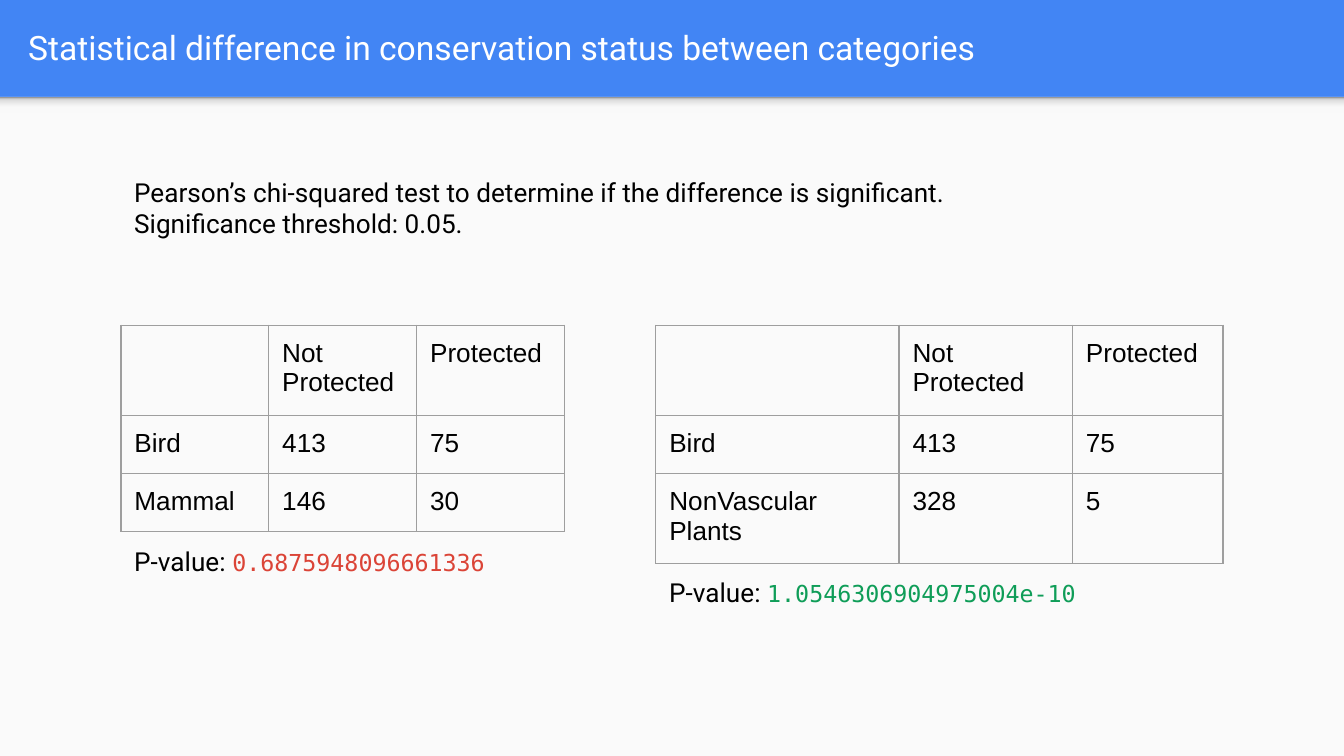
from lxml import etree
from pptx import Presentation
from pptx.dml.color import RGBColor
from pptx.enum.shapes import MSO_SHAPE
from pptx.enum.text import MSO_ANCHOR, MSO_AUTO_SIZE, PP_ALIGN
from pptx.oxml.ns import qn
from pptx.util import Inches, Pt

BLUE = RGBColor(0x42, 0x85, 0xF4)
PAPER = RGBColor(0xFA, 0xFA, 0xFA)
WHITE = RGBColor(0xFF, 0xFF, 0xFF)
BLACK = RGBColor(0x00, 0x00, 0x00)
GRID = RGBColor(0x9E, 0x9E, 0x9E)
RED = RGBColor(0xDB, 0x44, 0x37)
GREEN = RGBColor(0x0F, 0x9D, 0x58)
SHADOW_STOPS = [
    (0, RGBColor(0xF9, 0xF9, 0xF9)),
    (36, RGBColor(0xF9, 0xF9, 0xF9)),
    (80, RGBColor(0xDE, 0xDE, 0xDE)),
    (100, RGBColor(0x99, 0x99, 0x99)),
]


def add_text(paragraph, text, font="Roboto", size=14, color=BLACK):
    paragraph.alignment = PP_ALIGN.LEFT
    run = paragraph.add_run()
    run.text = text
    run.font.name = font
    run.font.size = Pt(size)
    run.font.color.rgb = color


def add_color(parent, color):
    etree.SubElement(parent, qn("a:srgbClr"), val=str(color))


class SlideBuilder:
    inset = Inches(0.1)

    def __init__(self, slide):
        self.slide = slide

    def set_insets(self, target):
        target.margin_left = target.margin_right = self.inset
        target.margin_top = target.margin_bottom = self.inset

    def band(self, left, top, width, height):
        band = self.slide.shapes.add_shape(
            MSO_SHAPE.RECTANGLE, Inches(left), Inches(top), Inches(width), Inches(height))
        band.shadow.inherit = False
        band.line.fill.background()
        return band

    def panel(self, *box, color):
        fill = self.band(*box).fill
        fill.solid()
        fill.fore_color.rgb = color

    def gradient_band(self, *box, stops):
        band = self.band(*box)
        band.fill.gradient()
        band.fill.gradient_angle = 90
        stop_list = band._element.spPr.find(".//" + qn("a:gsLst"))
        for old_stop in list(stop_list):
            stop_list.remove(old_stop)
        for percent, color in stops:
            add_color(etree.SubElement(stop_list, qn("a:gs"), pos=str(percent * 1000)), color)

    def title(self, text, left, top, width, height):
        title = self.slide.shapes.title
        title.left, title.top = Inches(left), Inches(top)
        title.width, title.height = Inches(width), Inches(height)
        frame = title.text_frame
        frame.auto_size = MSO_AUTO_SIZE.NONE
        frame.vertical_anchor = MSO_ANCHOR.MIDDLE
        self.set_insets(frame)
        add_text(frame.paragraphs[0], text, size=18, color=WHITE)

    def text_box(self, left, top, width, height, paragraphs):
        """Each paragraph is a list of (text, format) runs."""
        frame = self.slide.shapes.add_textbox(
            Inches(left), Inches(top), Inches(width), Inches(height)).text_frame
        frame.word_wrap = True
        frame.auto_size = MSO_AUTO_SIZE.SHAPE_TO_FIT_TEXT
        self.set_insets(frame)
        for index, runs in enumerate(paragraphs):
            paragraph = frame.add_paragraph() if index else frame.paragraphs[0]
            for text, style in runs:
                add_text(paragraph, text, **style)

    def cell_borders(self, cell):
        properties = cell._tc.get_or_add_tcPr()
        for index, side in enumerate(("a:lnL", "a:lnR", "a:lnT", "a:lnB")):
            border = etree.Element(qn(side), w=str(Pt(0.75)))
            add_color(etree.SubElement(border, qn("a:solidFill")), GRID)
            properties.insert(index, border)

    def table(self, left, top, widths, heights, rows):
        table = self.slide.shapes.add_table(
            len(rows), len(widths), Inches(left), Inches(top),
            Inches(sum(widths)), Inches(sum(heights))).table
        table.first_row = table.horz_banding = False
        for column, width in zip(table.columns, widths):
            column.width = Inches(width)
        for row, height, values in zip(table.rows, heights, rows):
            row.height = Inches(height)
            for cell, value in zip(row.cells, values):
                cell.fill.background()
                self.cell_borders(cell)
                self.set_insets(cell)
                if value:
                    add_text(cell.text_frame.paragraphs[0], value, font="Arial")


def main():
    presentation = Presentation()
    presentation.slide_width = Inches(10)
    presentation.slide_height = presentation.slide_width * 9 // 16
    slide = presentation.slides.add_slide(presentation.slide_layouts[5])
    slide.background.fill.solid()
    slide.background.fill.fore_color.rgb = BLUE
    builder = SlideBuilder(slide)

    # Content panel, header shadow and title
    builder.panel(0, 0.72, 10, 4.91, color=PAPER)
    builder.gradient_band(0, 0.72, 10, 0.12, stops=SHADOW_STOPS)
    builder.title("Statistical difference in conservation status between categories",
                  0.11, 0.02, 9.65, 0.66)

    # Test description
    builder.text_box(0.9, 1.21, 8.2, 0.67, [
        [("Pearson’s chi-squared test to determine if the difference is significant.", {})],
        [("Significance threshold: 0.05.", {})],
    ])

    # Contingency tables, each with its p-value below
    header = ["", "Not Protected", "Protected"]
    birds = ["Bird", "413", "75"]
    one_line, two_lines = 0.43, 0.67
    comparisons = [
        (0.9, [1.1, 1.1, 1.1], one_line, ["Mammal", "146", "30"],
         3.96, "0.6875948096661336", RED),
        (4.88, [1.81, 1.29, 1.12], two_lines, ["NonVascular Plants", "328", "5"],
         4.19, "1.0546306904975004e-10", GREEN),
    ]
    for left, widths, last_height, group, p_value_top, p_value, color in comparisons:
        heights = [two_lines, one_line, last_height]
        builder.table(left, 2.42, widths, heights, [header, birds, group])
        builder.text_box(left, p_value_top, 3.25, 0.44, [[
            ("P-value: ", {}),
            (p_value, {"font": "DejaVu Sans Mono", "size": 12.5, "color": color}),
        ]])

    presentation.save("out.pptx")


if __name__ == "__main__":
    main()
